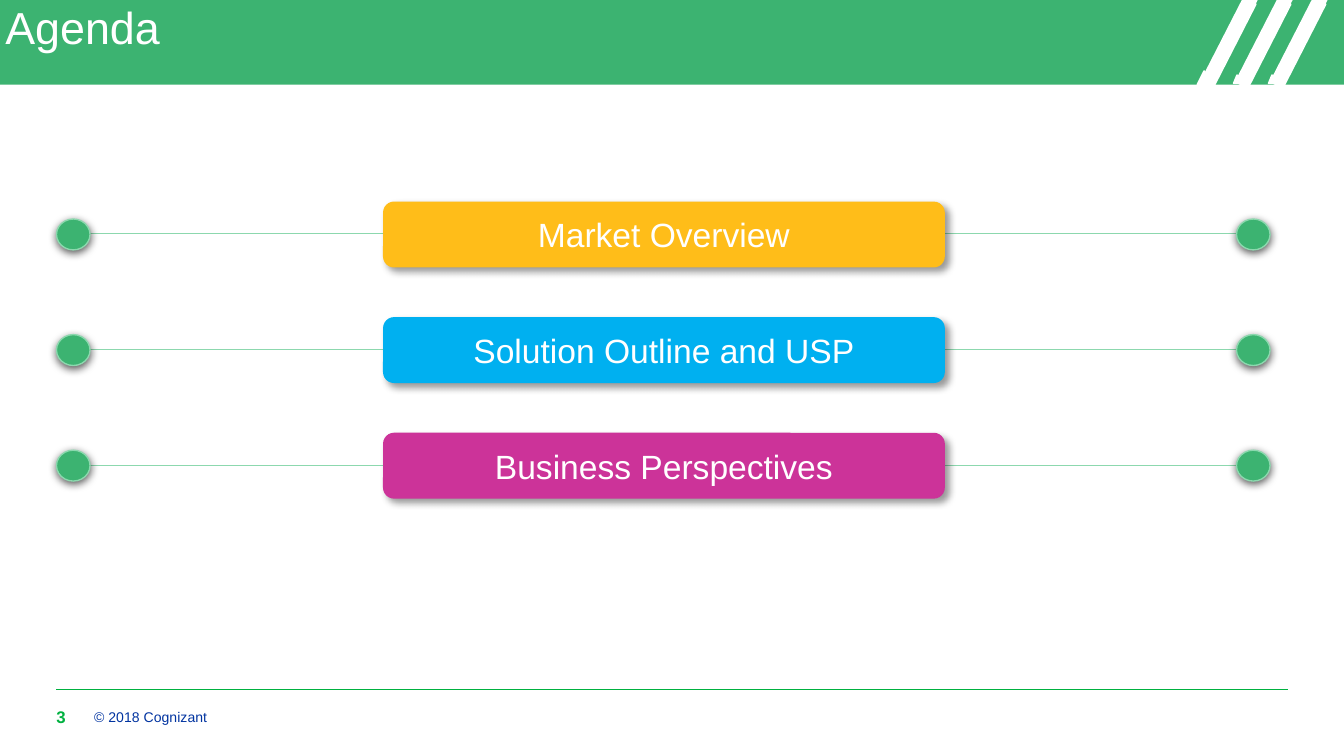
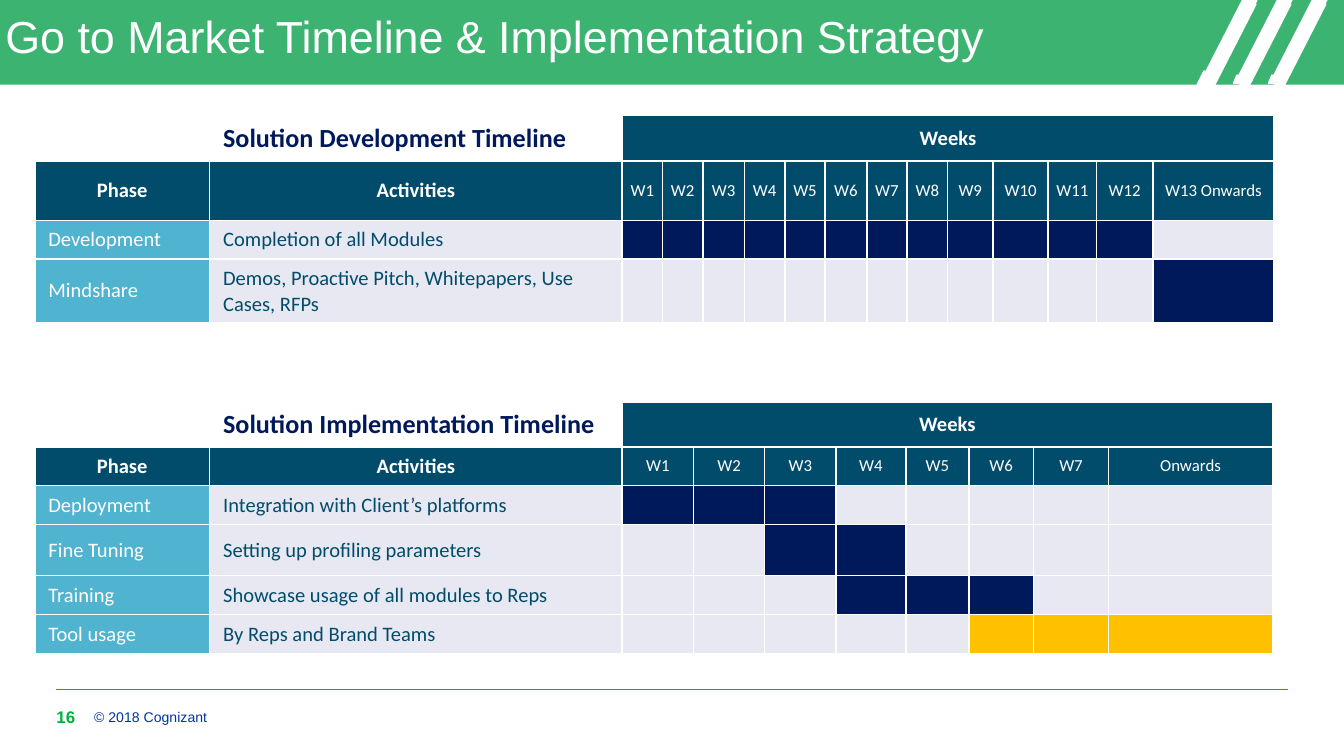
from lxml.etree import SubElement
from pptx import Presentation
from pptx.dml.color import RGBColor
from pptx.enum.shapes import MSO_CONNECTOR, MSO_SHAPE
from pptx.enum.text import MSO_ANCHOR, MSO_AUTO_SIZE, PP_ALIGN
from pptx.oxml.ns import qn
from pptx.util import Inches, Pt

WIDTH = 10
HEIGHT = WIDTH * 9 / 16
GREEN, MINT, LEAF, WHITE = "3CB371", "8CD8AE", "00B140", "FFFFFF"
TEAL, SKY, PALE, NAVY, AMBER = "024C6B", "50B3CF", "E7E8F2", "00195A", "FFC000"
COPYRIGHT = "© 2018 Cognizant"

AGENDA = [
    ("Market Overview", "FFBD19"),
    ("Solution Outline and USP", "00B0F0"),
    ("Business Perspectives", "CC3399"),
]

TIMELINES = [
    {
        "title": "Solution Development Timeline",
        "top": 0.86,
        "weeks": [f"W{n}" for n in range(1, 13)] + ["W13 Onwards"],
        "widths": [0.3, 0.3, 0.31, 0.3, 0.3, 0.31, 0.3, 0.3, 0.34, 0.41, 0.36, 0.42, 0.9],
        "heights": [0.34, 0.44, 0.29, 0.47],
        "rows": [
            ("Development", "Completion of all Modules", 1, 12, NAVY),
            ("Mindshare", "Demos, Proactive Pitch, Whitepapers, Use Cases, RFPs", 13, 13, NAVY),
        ],
    },
    {
        "title": "Solution Implementation Timeline",
        "top": 2.99,
        "weeks": [f"W{n}" for n in range(1, 8)] + ["Onwards"],
        "widths": [0.53, 0.53, 0.53, 0.52, 0.47, 0.48, 0.56, 1.22],
        "heights": [0.33, 0.29, 0.29, 0.38, 0.29, 0.29],
        "rows": [
            ("Deployment", "Integration with Client’s platforms", 1, 3, NAVY),
            ("Fine Tuning", "Setting up profiling parameters", 3, 4, NAVY),
            ("Training", "Showcase usage of all modules to Reps", 4, 6, NAVY),
            ("Tool usage", "By Reps and Brand Teams", 6, 8, AMBER),
        ],
    },
]


def rgb(color):
    return RGBColor.from_string(color)


def put_text(tf, text, size, color, font="Arial", bold=False, align=PP_ALIGN.LEFT):
    tf.text = text
    p = tf.paragraphs[0]
    p.alignment = align
    r = p.runs[0]
    r.font.size, r.font.name, r.font.bold = Pt(size), font, bold
    r.font.color.rgb = rgb(color)
    return p


def clear_insets(tf):
    tf.margin_left = tf.margin_right = tf.margin_top = tf.margin_bottom = 0


def add_box(shapes, kind, box, fill, line=None, weight=1.0, rotation=0):
    sp = shapes.add_shape(kind, *map(Inches, box))
    sp.shadow.inherit = False
    sp.fill.solid()
    sp.fill.fore_color.rgb = rgb(fill)
    sp.rotation = rotation
    if line:
        sp.line.color.rgb = rgb(line)
        sp.line.width = Pt(weight)
    else:
        sp.line.fill.background()
    return sp


def add_line(shapes, x1, x2, y, color):
    cx = shapes.add_connector(MSO_CONNECTOR.STRAIGHT, *map(Inches, (x1, y, x2, y)))
    cx.line.color.rgb = rgb(color)
    cx.line.width = Pt(0.5)
    SubElement(cx._element.spPr, qn("a:effectLst"))
    return cx


def add_shadow(sp, alpha, blur, dist, angle):
    effects = sp._element.spPr.find(qn("a:effectLst"))
    shadow = SubElement(effects, qn("a:outerShdw"), blurRad=str(Pt(blur)),
                        dist=str(Pt(dist)), dir=str(angle * 60000), rotWithShape="0")
    color = SubElement(shadow, qn("a:srgbClr"), val="000000")
    SubElement(color, qn("a:alpha"), val=str(alpha * 1000))


def add_label(s, box, text, size, color, bold=False):
    tf = s.shapes.add_textbox(*map(Inches, box)).text_frame
    tf.word_wrap = True
    tf.vertical_anchor = MSO_ANCHOR.MIDDLE
    clear_insets(tf)
    put_text(tf, text, size, color, bold=bold)


def decorate_layout(layout, s):
    rect, triangle = MSO_SHAPE.RECTANGLE, MSO_SHAPE.ISOSCELES_TRIANGLE
    parts = [add_box(s.shapes, rect, (0, 0, WIDTH, 0.63), GREEN)]
    feet = [(8.91, 0.53, 0.1, 0.1), (9.18, 0.56, 0.05, 0.06), (9.44, 0.56, 0.05, 0.06)]
    for i, foot in enumerate(feet):
        shift = i * 0.26
        for kind, box, angle in [
            (rect, (9.09 + shift, -0.03, 0.1, 0.7), 27.1),
            (triangle, (9.26 + shift, -0.02, 0.1, 0.1), 180),
            (triangle, foot, 0),
        ]:
            parts.append(add_box(s.shapes, kind, box, WHITE, WHITE, rotation=angle))
    parts.append(add_line(s.shapes, 0.42, WIDTH - 0.42, 5.13, LEAF))
    for number, part in enumerate(parts, 100):
        part._element.xpath(".//p:cNvPr")[0].set("id", str(number))
        layout.shapes._spTree.append(part._element)


def frame_slide(s, title, title_top, number):
    sp = s.shapes.title
    sp.left, sp.top, sp.width, sp.height = map(Inches, (0.04, title_top, 9.17, 0.59))
    tf = sp.text_frame
    tf.word_wrap = True
    tf.auto_size = MSO_AUTO_SIZE.NONE
    tf.vertical_anchor = MSO_ANCHOR.TOP
    clear_insets(tf)
    put_text(tf, title, 24, WHITE).line_spacing = 0.9
    add_label(s, (0.7, 5.25, 5, 0.17), COPYRIGHT, 7.5, "0033A0")
    add_label(s, (0.42, 5.25, 0.25, 0.17), str(number), 9, LEAF, True)


def add_agenda(s):
    for i, (text, color) in enumerate(AGENDA):
        y = 1.74 + i * 0.86
        group = s.shapes.add_group_shape().shapes
        add_line(group, 0.55, 9.4, y, MINT)
        for x in (0.42, 9.2):
            dot = add_box(group, MSO_SHAPE.OVAL, (x, y - 0.11, 0.25, 0.23), GREEN, MINT, 0.75)
            add_shadow(dot, 63, 4.5, 1.5, 90)
        bar = add_box(s.shapes, MSO_SHAPE.ROUNDED_RECTANGLE,
                      (2.85, 1.5 + i * 0.86, 4.18, 0.49), color)
        add_shadow(bar, 40, 4, 3, 45)
        bar.text_frame.vertical_anchor = MSO_ANCHOR.MIDDLE
        put_text(bar.text_frame, text, 18, WHITE, align=PP_ALIGN.CENTER)


def format_cell(cell, fill=None, text="", size=11, color=WHITE, bold=False,
                align=PP_ALIGN.LEFT, tight=False):
    cell.vertical_anchor = MSO_ANCHOR.MIDDLE
    if tight:
        clear_insets(cell)
    if text:
        put_text(cell.text_frame, text, size, color, "Calibri", bold, align)
    else:
        SubElement(cell.text_frame.paragraphs[0]._p, qn("a:endParaRPr"), sz="900")
    tcPr = cell._tc.get_or_add_tcPr()
    for side in ("lnL", "lnR", "lnT", "lnB"):
        ln = SubElement(tcPr, qn(f"a:{side}"), w=str(Pt(1)))
        SubElement(SubElement(ln, qn("a:solidFill")), qn("a:srgbClr"), val=WHITE)
    if fill:
        cell.fill.solid()
        cell.fill.fore_color.rgb = rgb(fill)
    else:
        cell.fill.background()


def add_timeline(s, plan):
    widths, heights = [1.3, 3.07] + plan["widths"], plan["heights"]
    box = (0.26, plan["top"], sum(widths), sum(heights))
    table = s.shapes.add_table(len(heights), len(widths), *map(Inches, box)).table
    table.first_row = table.horz_banding = False
    for col, width in zip(table.columns, widths):
        col.width = Inches(width)
    for row, height in zip(table.rows, heights):
        row.height = Inches(height)

    heading = {"fill": TEAL, "bold": True, "align": PP_ALIGN.CENTER}
    table.cell(0, 2).merge(table.cell(0, len(widths) - 1))
    format_cell(table.cell(0, 0))
    format_cell(table.cell(0, 1), None, plan["title"], 14, NAVY, True)
    format_cell(table.cell(0, 2), text="Weeks", **heading)
    for c in range(3, len(widths)):
        format_cell(table.cell(0, c), TEAL)
    for c, text in enumerate(("Phase", "Activities")):
        format_cell(table.cell(1, c), text=text, **heading)
    for c, week in enumerate(plan["weeks"], 2):
        format_cell(table.cell(1, c), TEAL, week, 9, align=PP_ALIGN.CENTER, tight=True)
    for n, (phase, activity, first, last, color) in enumerate(plan["rows"], 2):
        format_cell(table.cell(n, 0), SKY, phase)
        format_cell(table.cell(n, 1), PALE, activity, color=TEAL)
        for week in range(1, len(plan["weeks"]) + 1):
            format_cell(table.cell(n, week + 1), color if first <= week <= last else PALE)


def main():
    prs = Presentation()
    prs.slide_width, prs.slide_height = Inches(WIDTH), Inches(HEIGHT)
    layout = prs.slide_layouts[5]

    s = prs.slides.add_slide(layout)
    decorate_layout(layout, s)
    frame_slide(s, "Agenda", 0.04, 3)
    add_agenda(s)

    s = prs.slides.add_slide(layout)
    frame_slide(s, "Go to Market Timeline & Implementation Strategy", 0.11, 16)
    for plan in TIMELINES:
        add_timeline(s, plan)

    prs.save("out.pptx")


if __name__ == "__main__":
    main()
